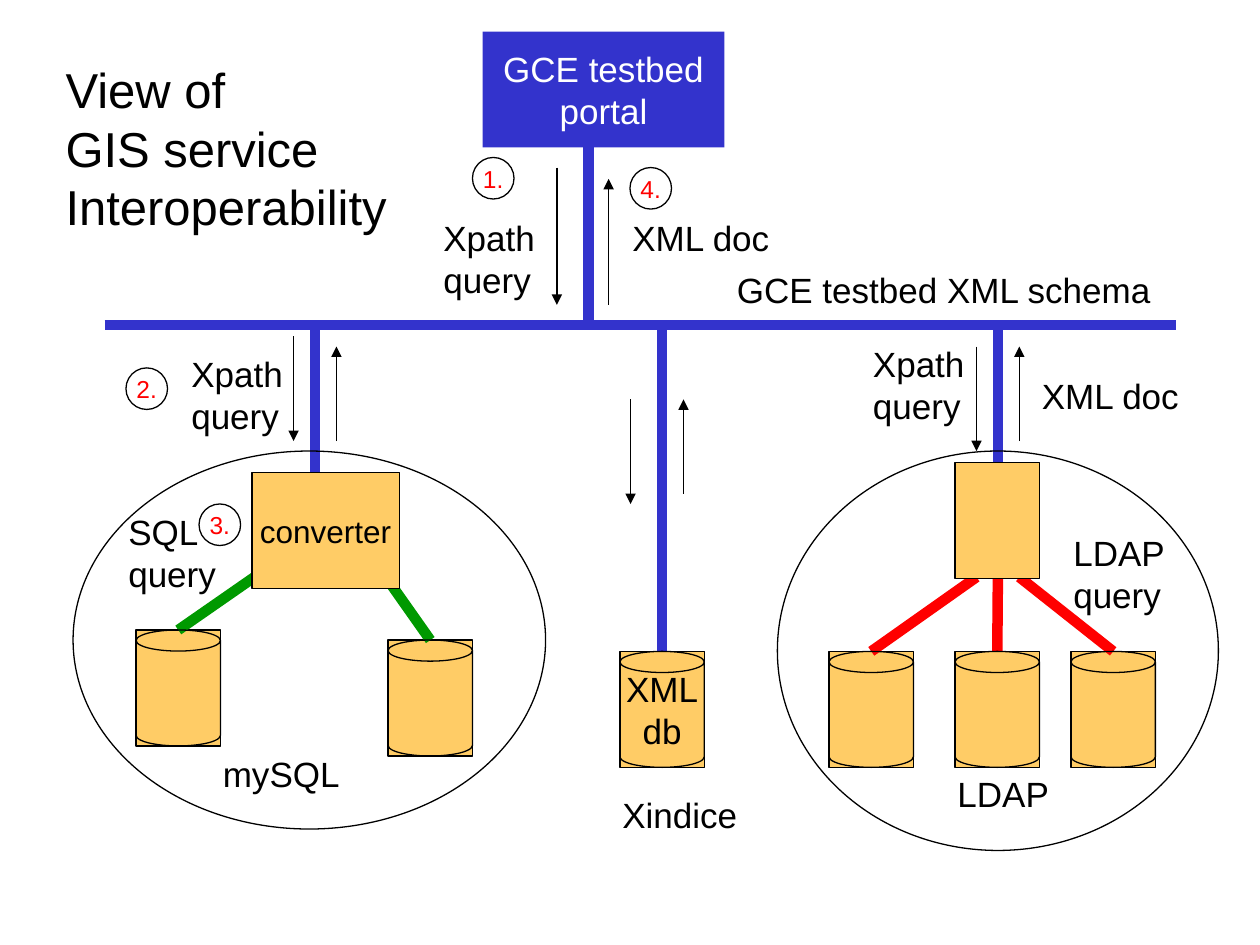
from lxml.etree import SubElement
from pptx import Presentation
from pptx.dml.color import RGBColor
from pptx.enum.shapes import MSO_CONNECTOR as Connector, MSO_SHAPE as Shape
from pptx.enum.text import MSO_ANCHOR as Anchor, MSO_AUTO_SIZE as AutoSize, PP_ALIGN as Align
from pptx.oxml.ns import qn
from pptx.util import Inches, Pt

BLACK = RGBColor(0x00, 0x00, 0x00)
WHITE = RGBColor(0xFF, 0xFF, 0xFF)
BLUE = RGBColor(0x33, 0x33, 0xCC)
GREEN = RGBColor(0x00, 0x99, 0x00)
RED = RGBColor(0xFF, 0x00, 0x00)
ORANGE = RGBColor(0xFF, 0xCC, 0x66)

FONT = "Arial"
STORE_WIDTH, STORE_HEIGHT = 0.67, 0.92
BADGE_SIZE = 0.33
BUS_TOP = 2.58


def write_text(shape, text, size=20, color=BLACK, align=Align.LEFT, anchor=Anchor.TOP):
    """Fill a shape with unwrapped, formatted text."""
    frame = shape.text_frame
    frame.text = text
    frame.word_wrap = False
    frame.vertical_anchor = anchor
    for paragraph in frame.paragraphs:
        paragraph.alignment = align
        for run in paragraph.runs:
            run.font.name = FONT
            run.font.size = Pt(size)
            run.font.color.rgb = color


def add_label(slide, text, left, top, width, height=0.44):
    """Add a left-aligned label."""
    box = slide.shapes.add_textbox(Inches(left), Inches(top), Inches(width), Inches(height))
    write_text(box, text)


def add_shape(slide, kind, left, top, width, height, fill=None, line=BLACK):
    """Add a flat preset shape with an optional fill and outline."""
    shape = slide.shapes.add_shape(kind, Inches(left), Inches(top), Inches(width), Inches(height))
    shape.shadow.inherit = False
    if fill is None:
        shape.fill.background()
    else:
        shape.fill.solid()
        shape.fill.fore_color.rgb = fill
    if line is None:
        shape.line.fill.background()
    else:
        shape.line.color.rgb = line
        shape.line.width = Pt(0.75)
    return shape


def add_line(slide, start, end, color=BLUE, width=6):
    """Add a straight connector without a shadow."""
    line = slide.shapes.add_connector(Connector.STRAIGHT, *map(Inches, (*start, *end)))
    line.line.color.rgb = color
    line.line.width = Pt(width)
    SubElement(line._element.spPr, qn("a:effectLst"))
    return line


def add_arrow(slide, x, start, end):
    """Add a thin vertical arrow pointing at its end."""
    arrow = add_line(slide, (x, start), (x, end), BLACK, 0.75)
    SubElement(arrow.get_or_add_ln(), qn("a:tailEnd"), type="triangle")


def add_badge(slide, number, left, top):
    """Add a circled red step number."""
    badge = add_shape(slide, Shape.OVAL, left, top, BADGE_SIZE, BADGE_SIZE)
    write_text(badge, f"{number}.", 14, RED, Align.CENTER, Anchor.MIDDLE)


def add_store(slide, left, top, link_start, link_color, text=""):
    """Add a database block, its link from above and its cylinder outline."""
    block = add_shape(slide, Shape.RECTANGLE, left, top, STORE_WIDTH, STORE_HEIGHT, ORANGE)
    if text:
        write_text(block, text, align=Align.CENTER, anchor=Anchor.MIDDLE)
    add_line(slide, link_start, (left + STORE_WIDTH / 2, top), link_color)
    add_shape(slide, Shape.CAN, left, top, STORE_WIDTH, STORE_HEIGHT)


def add_title(slide, left, top, width, height):
    """Place the slide title."""
    title = slide.shapes.title
    title.left, title.top, title.width, title.height = map(Inches, (left, top, width, height))
    write_text(title, "View of\nGIS service\nInteroperability", 28)
    title.text_frame.auto_size = AutoSize.NONE


def add_portal(slide, left, top, width, height):
    """Add the portal, its trunk to the bus and the traffic beside it."""
    trunk = left + 0.84
    add_line(slide, (trunk, top + height), (trunk, BUS_TOP))
    portal = add_shape(slide, Shape.RECTANGLE, left, top, width, height, BLUE, None)
    write_text(portal, "GCE testbed\nportal", 20, WHITE, Align.CENTER, Anchor.MIDDLE)
    add_arrow(slide, trunk - 0.25, top + 1.08, top + 2.17)
    add_arrow(slide, trunk + 0.16, top + 2.17, top + 1.17)
    add_badge(slide, 1, left - 0.08, top + 1)
    add_badge(slide, 4, left + 1.17, top + 1.08)
    add_label(slide, "Xpath\nquery", left - 0.41, top + 1.42, 1, 0.77)
    add_label(slide, "XML doc", left + 1.09, top + 1.42, 1.36)


def add_bus(slide, left, top, width):
    """Add the shared schema bus and its name."""
    add_line(slide, (left, top), (left + width, top))
    add_label(slide, "GCE testbed XML schema", left + 4.92, top - 0.5, 3.56)


def add_mysql_cluster(slide, left, top, width, height):
    """Add the relational cluster with its converter."""
    trunk = left + 1.92
    add_line(slide, (trunk, BUS_TOP), (trunk, top + 0.17))
    add_shape(slide, Shape.OVAL, left, top, width, height)
    add_store(slide, left + 0.5, top + 1.42, (left + 1.67, top + 0.84), GREEN)
    add_store(slide, left + 2.5, top + 1.5, (left + 2.25, top + 0.67), GREEN)
    converter = add_shape(slide, Shape.RECTANGLE, left + 1.42, top + 0.17, 1.17, 0.92, ORANGE)
    write_text(converter, "converter", 18, BLACK, Align.CENTER, Anchor.MIDDLE)
    add_arrow(slide, trunk - 0.17, top - 0.91, top - 0.08)
    add_arrow(slide, trunk + 0.17, top - 0.08, top - 0.83)
    add_label(slide, "Xpath\nquery", left + 0.84, top - 0.83, 1, 0.77)
    add_label(slide, "SQL\nquery", left + 0.34, top + 0.42, 1, 0.77)
    add_label(slide, "mySQL", left + 1.09, top + 2.34, 1.2)
    add_badge(slide, 2, left + 0.42, top - 0.66)
    add_badge(slide, 3, left + 1, top + 0.42)


def add_xml_store(slide, left, top):
    """Add the XML database hanging straight from the bus."""
    trunk = left + STORE_WIDTH / 2
    add_store(slide, left, top, (trunk, BUS_TOP), BLUE, "XML\ndb")
    add_arrow(slide, trunk - 0.25, top - 2, top - 1.17)
    add_arrow(slide, trunk + 0.17, top - 1.25, top - 2)
    add_label(slide, "Xindice", left - 0.08, top + 1.08, 1.18)


def add_ldap_cluster(slide, left, top, width, height):
    """Add the directory cluster with its three stores."""
    trunk = left + width / 2
    add_line(slide, (trunk, BUS_TOP), (trunk, top + 0.09))
    add_shape(slide, Shape.OVAL, left, top, width, height)
    for offset, link_shift in ((0.41, -0.17), (1.41, 0), (2.33, 0.17)):
        add_store(slide, left + offset, top + 1.59, (trunk + link_shift, top + 1), RED)
    add_shape(slide, Shape.RECTANGLE, left + 1.41, top + 0.09, STORE_WIDTH, STORE_HEIGHT, ORANGE)
    add_arrow(slide, trunk - 0.17, top - 0.83, top)
    add_arrow(slide, trunk + 0.17, top - 0.08, top - 0.83)
    add_label(slide, "Xpath\nquery", left + 0.66, top - 0.91, 1, 0.77)
    add_label(slide, "XML doc", left + 2, top - 0.66, 1.36)
    add_label(slide, "LDAP\nquery", left + 2.25, top + 0.59, 1, 0.77)
    add_label(slide, "LDAP", left + 1.33, top + 2.5, 1)


def main():
    """Build and save the slide."""
    presentation = Presentation()
    presentation.slide_width, presentation.slide_height = Inches(10), Inches(7.5)
    slide = presentation.slides.add_slide(presentation.slide_layouts[5])
    add_title(slide, 0.42, 0.42, 2.9, 1.5)
    add_bus(slide, 0.83, BUS_TOP, 8.5)
    add_portal(slide, 3.83, 0.25, 1.92, 0.92)
    add_mysql_cluster(slide, 0.58, 3.58, 3.75, 3)
    add_xml_store(slide, 4.92, 5.17)
    add_ldap_cluster(slide, 6.17, 3.58, 3.5, 3.17)
    presentation.save("out.pptx")


if __name__ == "__main__":
    main()
